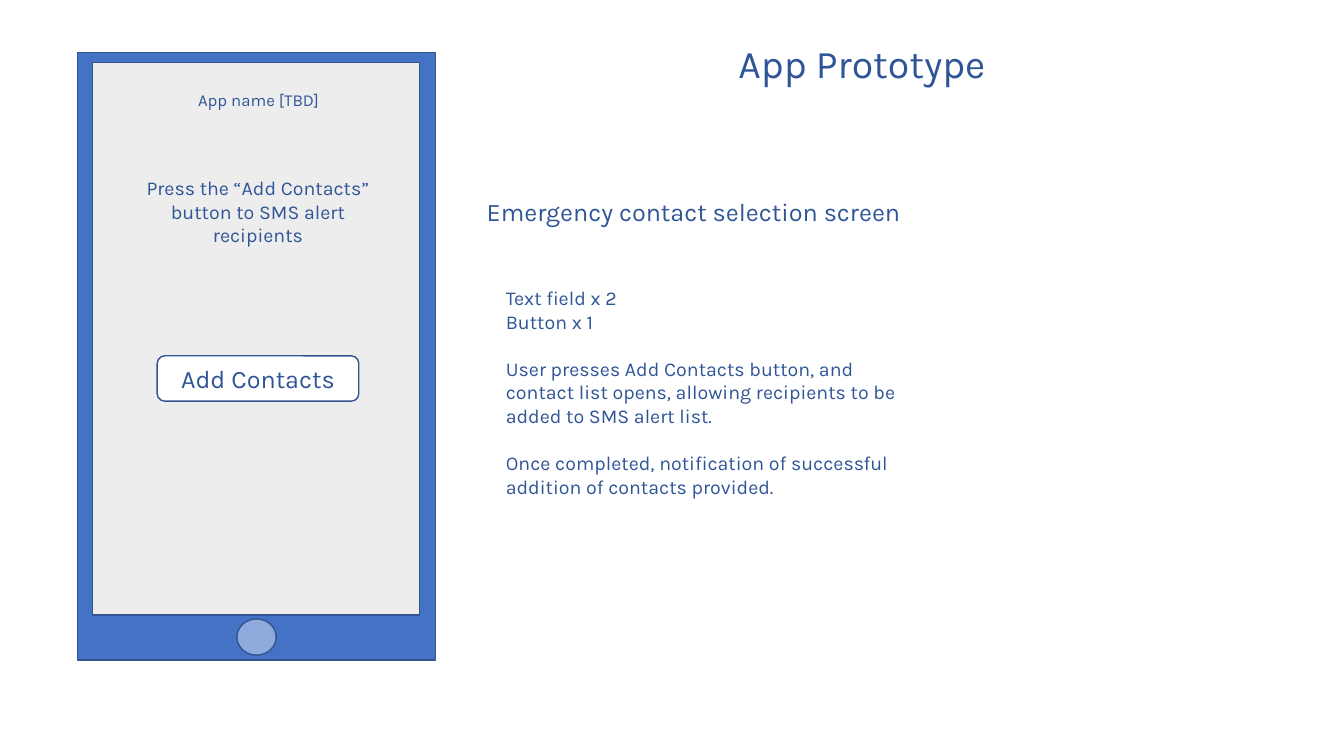
import dataclasses

import pptx
import pptx.dml.color
import pptx.enum.shapes
import pptx.enum.text
import pptx.util

SHAPE = pptx.enum.shapes.MSO_SHAPE
ALIGN = pptx.enum.text.PP_ALIGN
ANCHOR = pptx.enum.text.MSO_ANCHOR
COLUMNS, ROWS = 160, 90


@dataclasses.dataclass(frozen=True)
class Theme:
    font: str = "Karla"
    ink: str = "2F5597"
    outline: str = "325491"
    phone: str = "4472C4"
    screen: str = "EDEDED"
    home: str = "8FAADC"
    button: str = "FFFFFF"
    title: float = 28
    heading: float = 18
    body: float = 14
    small: float = 12
    blank_line: float = 16.8
    line_width: float = 1


def rgb(value):
    return pptx.dml.color.RGBColor.from_string(value)


def set_text(tf, paragraphs, *, font, color, size, align=ALIGN.LEFT,
             anchor=ANCHOR.TOP, gap=0, gap_before=()):
    tf.word_wrap = True
    tf.auto_size = pptx.enum.text.MSO_AUTO_SIZE.NONE
    tf.vertical_anchor = anchor
    for i, text in enumerate(paragraphs):
        p = tf.paragraphs[0] if i == 0 else tf.add_paragraph()
        p.alignment = align
        p.space_before = pptx.util.Pt(gap if i in gap_before else 0)
        r = p.add_run()
        r.text = text
        r.font.name = font
        r.font.size = pptx.util.Pt(size)
        r.font.color.rgb = rgb(color)


class Canvas:
    def __init__(self, prs, theme):
        self.theme = theme
        self.col = prs.slide_width / COLUMNS
        self.row = prs.slide_height / ROWS
        self.s = prs.slides.add_slide(prs.slide_layouts[5])

    def box(self, left, top, width, height):
        return (round(left * self.col), round(top * self.row),
                round(width * self.col), round(height * self.row))

    def fill_text(self, sp, paragraphs, size, **style):
        set_text(sp.text_frame, paragraphs, font=self.theme.font,
                 color=self.theme.ink, size=size, **style)

    def title(self, text, cells):
        sp = self.s.shapes.title
        sp.left, sp.top, sp.width, sp.height = self.box(*cells)
        self.fill_text(sp, [text], self.theme.title, align=ALIGN.CENTER)

    def text(self, paragraphs, cells, size, **style):
        sp = self.s.shapes.add_textbox(*self.box(*cells))
        self.fill_text(sp, paragraphs, size, **style)

    def shape(self, kind, cells, fill):
        sp = self.s.shapes.add_shape(kind, *self.box(*cells))
        sp.shadow.inherit = False
        sp.fill.solid()
        sp.fill.fore_color.rgb = rgb(fill)
        sp.line.color.rgb = rgb(self.theme.outline)
        sp.line.width = pptx.util.Pt(self.theme.line_width)
        return sp

    def button(self, text, cells):
        sp = self.shape(SHAPE.ROUNDED_RECTANGLE, cells, self.theme.button)
        self.fill_text(sp, [text], self.theme.heading,
                       align=ALIGN.CENTER, anchor=ANCHOR.MIDDLE)


prs = pptx.Presentation()
prs.slide_width = pptx.util.Inches(COLUMNS / 12)
prs.slide_height = pptx.util.Inches(ROWS / 12)

theme = Theme()
canvas = Canvas(prs, theme)

canvas.shape(SHAPE.RECTANGLE, (9.24, 6.24, 42.6, 72.36), theme.phone)
canvas.shape(SHAPE.RECTANGLE, (11.04, 7.44, 38.88, 65.76), theme.screen)
canvas.shape(SHAPE.OVAL, (28.2, 73.68, 4.68, 4.32), theme.home)

canvas.title("App Prototype", (68.52, 4.08, 68.16, 6.84))
canvas.text(["Emergency contact selection screen"],
            (56.76, 22.8, 56.4, 4.8), theme.heading)
canvas.text(
    [
        "Text field x 2",
        "Button x 1",
        "User presses Add Contacts button, and contact list opens, "
        "allowing recipients to be added to SMS alert list.",
        "Once completed, notification of successful addition of "
        "contacts provided.",
    ],
    (59.04, 33.48, 51.6, 29.52), theme.body,
    gap=theme.blank_line, gap_before=(2, 3))

canvas.text(["Press the “Add Contacts” button to SMS alert recipients"],
            (15.6, 20.4, 30.24, 9.72), theme.body, align=ALIGN.CENTER)
canvas.button("Add Contacts", (18.72, 42.36, 24, 5.4))
canvas.text(["App name [TBD]"], (12.96, 10.08, 35.64, 3.6),
            theme.small, align=ALIGN.CENTER)

prs.save("out.pptx")
